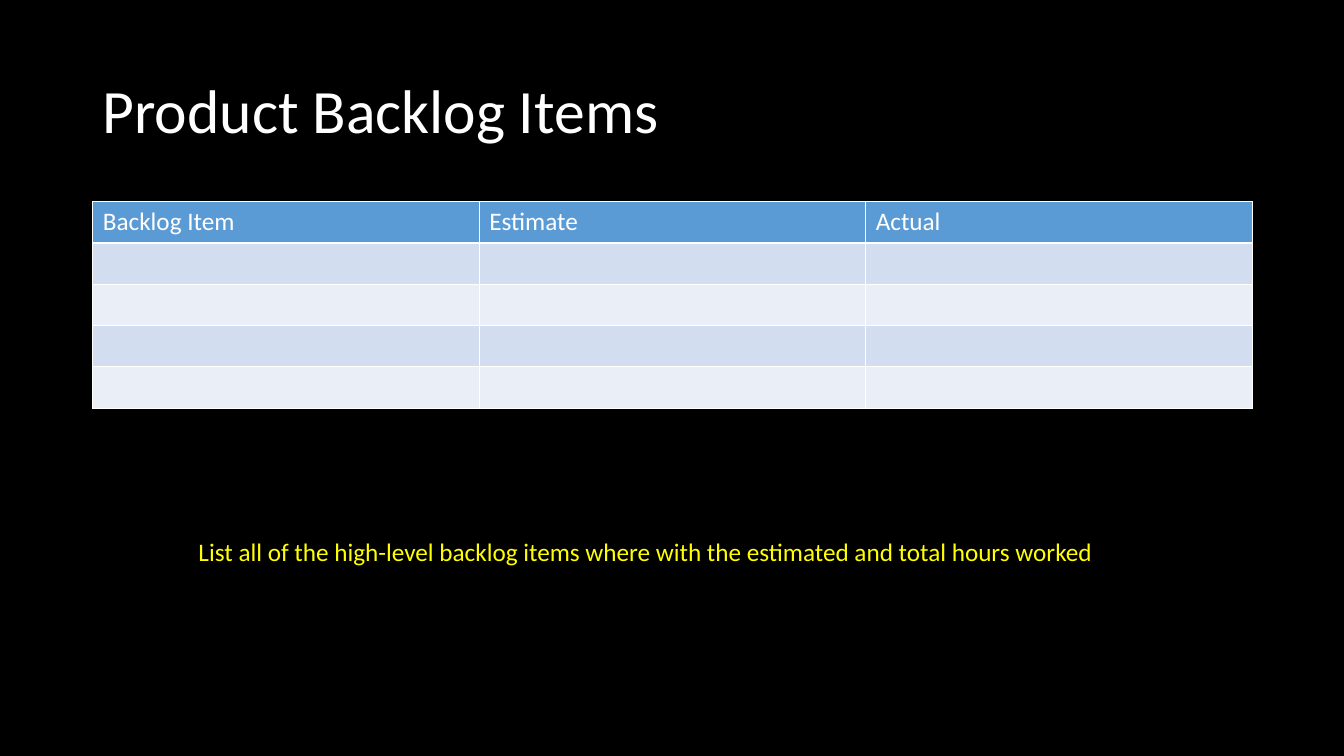
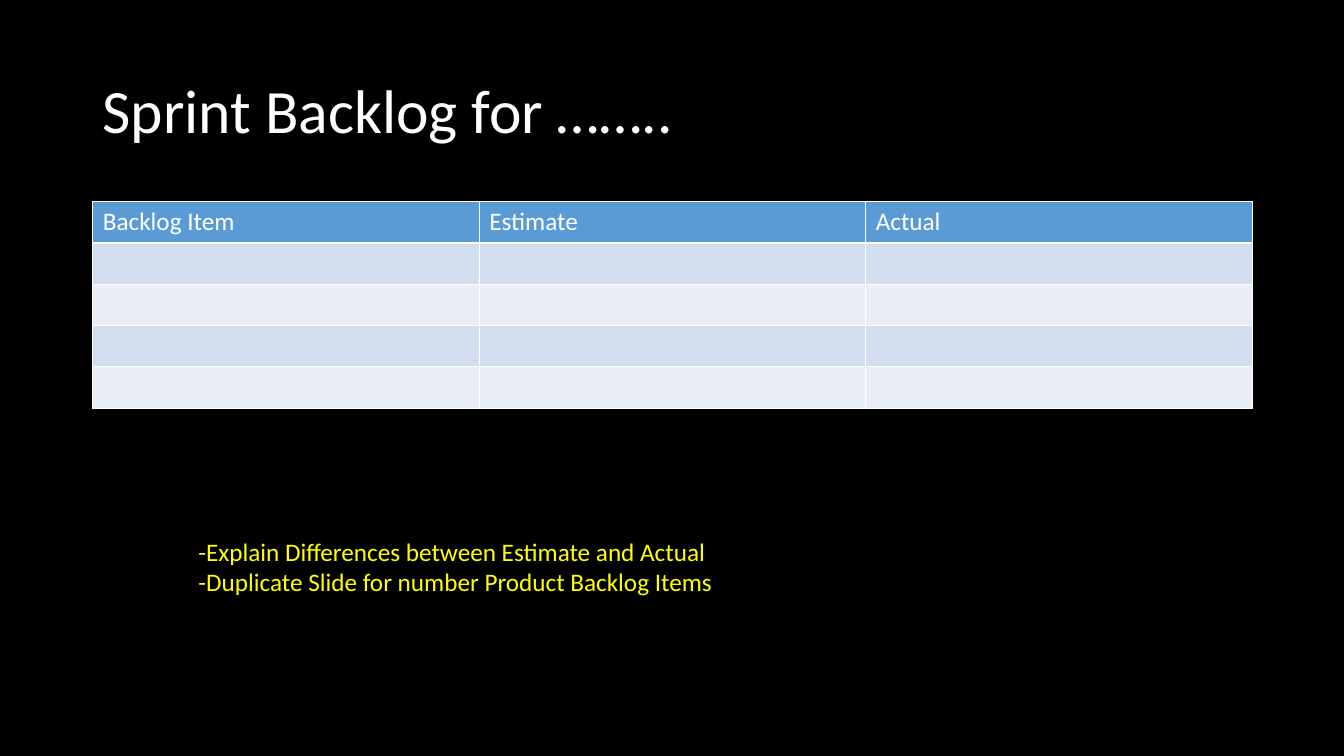
from lxml import etree
from pptx import Presentation
from pptx.dml.color import RGBColor
from pptx.enum.text import MSO_ANCHOR
from pptx.oxml.ns import qn
from pptx.util import Inches, Pt

MIDDLE, TOP = MSO_ANCHOR.MIDDLE, MSO_ANCHOR.TOP

BLACK = RGBColor(0x00, 0x00, 0x00)
WHITE = RGBColor(0xFF, 0xFF, 0xFF)
YELLOW = RGBColor(0xFF, 0xFF, 0x00)
BLUE = RGBColor(0x5B, 0x9B, 0xD5)
BANDS = (RGBColor(0xD2, 0xDE, 0xEF), RGBColor(0xEA, 0xEF, 0xF7))

FONT = "Calibri"
LEFT, WIDTH = 0.92, 11.5
HEADS = ("Backlog Item", "Estimate", "Actual")
ROWS, ROW_H = 5, 0.41

# Title, note lines, note width and height
SLIDES = (
    ("Product Backlog Items",
     ("List all of the high-level backlog items where with the estimated "
      "and total hours worked",), 9.18, 0.4),
    ("Sprint Backlog for ……..",
     ("-Explain Differences between Estimate and Actual",
      "-Duplicate Slide for number Product Backlog Items"), 5.37, 0.71),
)


def style(par, size, color):
    """Format every run of a paragraph."""
    for run in par.runs:
        font = run.font
        font.name, font.size, font.bold = FONT, Pt(size), False
        font.color.rgb = color


def add_text(slide, box, lines, size, color, wrap=True, anchor=TOP, gap=1.0):
    shape = slide.shapes.add_textbox(*map(Inches, box))
    frame = shape.text_frame
    frame.word_wrap = wrap
    frame.vertical_anchor = anchor
    frame.text = "\n".join(lines)
    for par in frame.paragraphs:
        par.line_spacing = gap
        style(par, size, color)


def add_edges(cell, color, width):
    """Draw a line on all four sides of a table cell."""
    props = cell._tc.get_or_add_tcPr()
    for side in ("lnL", "lnR", "lnT", "lnB"):
        line = etree.SubElement(props, qn("a:" + side), w=str(Pt(width)))
        fill = etree.SubElement(line, qn("a:solidFill"))
        etree.SubElement(fill, qn("a:srgbClr"), val=str(color))


def add_grid(slide):
    box = (LEFT, 2, WIDTH, ROWS * ROW_H)
    table = slide.shapes.add_table(ROWS, len(HEADS), *map(Inches, box)).table
    table.first_row = table.horz_banding = False
    for r in range(ROWS):
        for c, head in enumerate(HEADS):
            cell = table.cell(r, c)
            add_edges(cell, WHITE, 1)
            cell.fill.solid()
            cell.fill.fore_color.rgb = BANDS[(r - 1) % 2] if r else BLUE
            if r == 0:
                cell.text_frame.text = head
                style(cell.text_frame.paragraphs[0], 18, WHITE)


def add_page(deck, title, notes, width, height):
    slide = deck.slides.add_slide(deck.slide_layouts[6])
    # Title
    add_text(slide, (LEFT, 0.4, WIDTH, 1.45), [title], 44, WHITE,
             anchor=MIDDLE, gap=0.9)
    # Backlog table
    add_grid(slide)
    # Yellow guidance
    add_text(slide, (1.87, 5.27, width, height), notes, 18, YELLOW, wrap=False)


def main():
    deck = Presentation()
    deck.slide_width, deck.slide_height = Inches(13.33), Inches(7.5)
    # Shared black background
    back = deck.slide_master.background.fill
    back.solid()
    back.fore_color.rgb = BLACK
    for page in SLIDES:
        add_page(deck, *page)
    deck.save("out.pptx")


if __name__ == "__main__":
    main()
